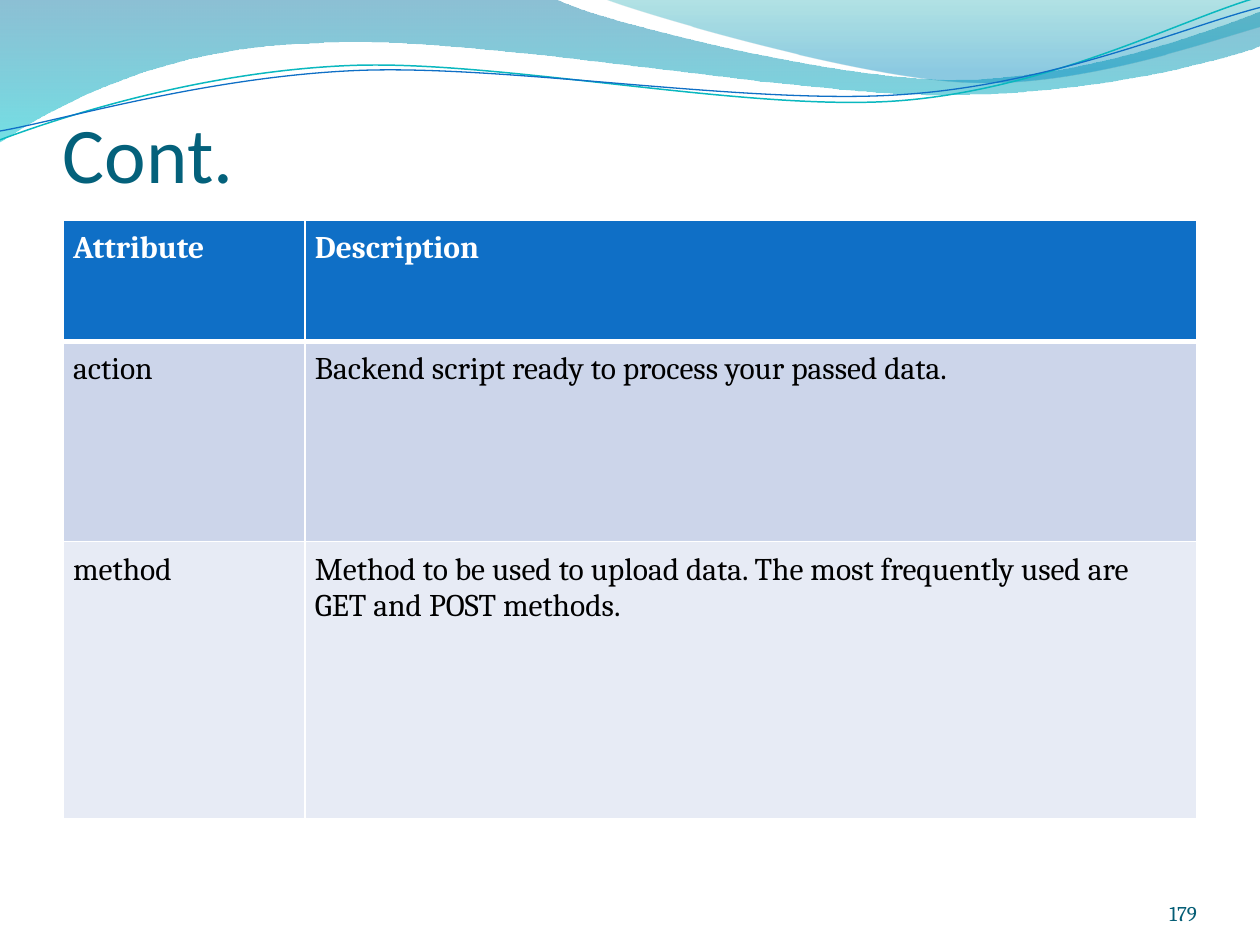
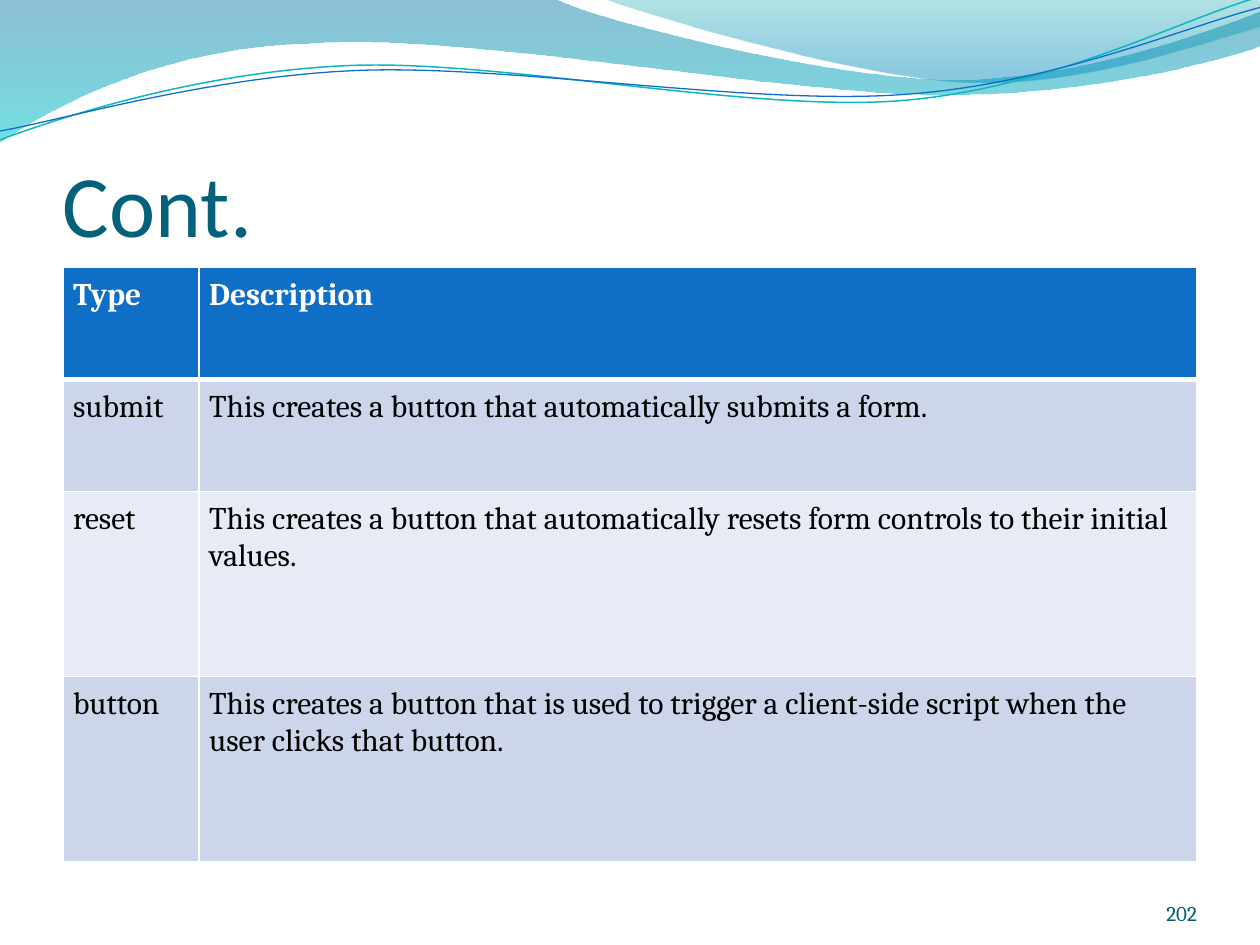
"""Build two slides with a wave header, a title, a table and a page number."""
from dataclasses import dataclass
from math import cos, radians, sin

from lxml import etree
from pptx import Presentation
from pptx.dml.color import RGBColor
from pptx.enum.text import MSO_ANCHOR, PP_ALIGN
from pptx.oxml.ns import qn
from pptx.util import Pt

PX = 9144
LEFT, WIDTH = 50, 900
TILT = 2.7
TOP, BOTTOM = MSO_ANCHOR.TOP, MSO_ANCHOR.BOTTOM
START, END = PP_ALIGN.LEFT, PP_ALIGN.RIGHT
HEAD_FONT, BODY_FONT = "Calibri", "Cambria"

WHITE = RGBColor(0xFF, 0xFF, 0xFF)
BLACK = RGBColor(0x00, 0x00, 0x00)
BLUE = RGBColor(0x0F, 0x6F, 0xC6)
AQUA = RGBColor(0x0A, 0xB8, 0xBF)
TITLE = RGBColor(0x04, 0x61, 0x7B)
NUMBER = RGBColor(0x04, 0x5D, 0x75)
ODD = RGBColor(0xCC, 0xD5, 0xEA)
EVEN = RGBColor(0xE7, 0xEB, 0xF5)
DEEP = RGBColor(0x00, 0x74, 0xA1)
CYAN = RGBColor(0x00, 0xC6, 0xCF)
TEAL = RGBColor(0x00, 0xA1, 0xA9)
SKY = RGBColor(0x00, 0x8B, 0xBF)


@dataclass(frozen=True)
class Stop:
    """A gradient stop: place and opacity in percent."""
    place: int
    color: RGBColor
    alpha: int


@dataclass(frozen=True)
class Band:
    """A closed outline whose steps hold one point (line) or three (curve)."""
    start: tuple[int, int]
    steps: tuple[tuple[int, ...], ...]
    stops: tuple[Stop, Stop]


@dataclass(frozen=True)
class Wave:
    """An open curve, tilted about its pivot."""
    start: tuple[int, int]
    steps: tuple[tuple[int, ...], ...]
    pivot: tuple[int, int]
    color: RGBColor
    weight: float


@dataclass(frozen=True)
class Page:
    """The content of one slide."""
    number: str
    title_high: int
    title_size: int
    top: int
    cols: tuple[int, ...]
    highs: tuple[int, ...]
    rows: tuple[tuple[str, str], ...]


BANDS = (
    Band((0, 0), (
        (440, -1), (476, 17, 664, 63, 758, 63), (853, 63, 958, 26, 1000, 9),
        (1001, 36), (983, 44, 870, 76, 746, 75), (622, 75, 382, 28, 257, 34),
        (129, 36, 46, 83, -1, 113), (0, 0)),
        (Stop(0, DEEP, 45), Stop(100, CYAN, 55))),
    Band((479, -1), (
        (509, 11, 682, 62, 769, 65), (856, 69, 961, 32, 1000, 21), (1000, 0),
        (479, -1)),
        (Stop(0, TEAL, 30), Stop(80, SKY, 45))),
)

WAVES = (
    Wave((0, 111), (
        (48, 93, 158, 57, 277, 52), (395, 47, 593, 89, 713, 80),
        (833, 71, 938, 15, 998, -2)), (499, 58), AQUA, 0.85),
    Wave((0, 104), (
        (47, 96, 164, 61, 283, 56), (403, 51, 597, 84, 717, 75),
        (836, 67, 941, 21, 1000, 6)), (500, 59), BLUE, 0.75),
)

PAGES = (
    Page("179", 81, 45, 175, (192, 708), (96, 159, 220), (
        ("Attribute", "Description"),
        ("action", "Backend script ready to process your passed data."),
        ("method", "Method to be used to upload data. The most frequently used "
                   "are GET and POST methods."))),
    Page("202", 125, 50, 212, (108, 792), (89, 89, 147, 147), (
        ("Type", "Description"),
        ("submit", "This creates a button that automatically submits a form."),
        ("reset", "This creates a button that automatically resets form "
                  "controls to their initial values."),
        ("button", "This creates a button that is used to trigger a "
                   "client-side script when the user clicks that button."))),
)


def write(frame, text: str, *, size: int, color: RGBColor, font: str = BODY_FONT,
          bold: bool = False, align=START) -> None:
    """Put formatted text into a text frame."""
    para = frame.paragraphs[0]
    para.alignment = align
    run = para.add_run()
    run.text = text
    run.font.name = font
    run.font.size = Pt(size)
    run.font.bold = bold
    run.font.color.rgb = color


def label(slide, box: tuple[int, ...], text: str, inset: int = 0, **form) -> None:
    """Add a text box whose text sits at its foot."""
    frame = slide.shapes.add_textbox(*(n * PX for n in box)).text_frame
    frame.word_wrap = True
    frame.vertical_anchor = BOTTOM
    frame.margin_left = frame.margin_right = frame.margin_bottom = 0
    frame.margin_top = inset * PX
    write(frame, text, **form)


def turn(point: tuple[int, int], pivot: tuple[int, int]) -> tuple[float, float]:
    """Rotate a point by the tilt about a pivot."""
    x, y = point[0] - pivot[0], point[1] - pivot[1]
    c, s = cos(radians(TILT)), sin(radians(TILT))
    return pivot[0] + x * c - y * s, pivot[1] + x * s + y * c


def trace(slide, form: Band | Wave, closed: bool):
    """Build an outline with true curves."""
    points = [form.start]
    for step in form.steps:
        points += zip(step[::2], step[1::2])
    if not closed:
        points = [turn(point, form.pivot) for point in points]
    first, *rest = [(x * PX, y * PX) for x, y in points]
    pen = slide.shapes.build_freeform(*first)
    pen.add_line_segments(rest, close=closed)
    shape = pen.convert_to_shape()
    shape.shadow.inherit = False
    lines = iter(list(shape._element.iter(qn("a:lnTo"))))
    for step in form.steps:
        line = next(lines)
        if len(step) == 6:
            line.tag = qn("a:cubicBezTo")
            for _ in range(2):
                extra = next(lines)
                line.append(extra[0])
                extra.getparent().remove(extra)
    return shape


def fill_band(slide, band: Band) -> None:
    """Draw a band with a see-through gradient."""
    shape = trace(slide, band, True)
    shape.line.fill.background()
    shape.fill.gradient()
    shape.fill.gradient_angle = 270
    for stop, mark in zip(band.stops, shape.fill.gradient_stops):
        mark.position = stop.place / 100
        mark.color.rgb = stop.color
    tones = list(shape._element.spPr.iter(qn("a:srgbClr")))
    for stop, tone in zip(band.stops, tones):
        etree.SubElement(tone, qn("a:alpha"), val=str(stop.alpha * 1000))


def draw_wave(slide, wave: Wave) -> None:
    """Draw a tilted line."""
    shape = trace(slide, wave, False)
    shape.rotation = 360 - TILT
    shape.fill.background()
    shape.line.color.rgb = wave.color
    shape.line.width = Pt(wave.weight)


def edge(cell) -> None:
    """Give a header cell white borders, thick at the foot."""
    props = cell._tc.get_or_add_tcPr()
    for i, side in enumerate("LRTB"):
        wide = Pt(3 if side == "B" else 1)
        line = etree.Element(qn(f"a:ln{side}"), w=str(wide))
        fill = etree.SubElement(line, qn("a:solidFill"))
        etree.SubElement(fill, qn("a:srgbClr"), val=str(WHITE))
        props.insert(i, line)


def grid(slide, page: Page) -> None:
    """Add the table of a page."""
    table = slide.shapes.add_table(
        len(page.rows), len(page.cols), LEFT * PX, page.top * PX,
        WIDTH * PX, sum(page.highs) * PX).table
    for col, wide in zip(table.columns, page.cols):
        col.width = wide * PX
    for r, (texts, high) in enumerate(zip(page.rows, page.highs)):
        table.rows[r].height = high * PX
        head = r == 0
        for c, text in enumerate(texts):
            cell = table.cell(r, c)
            cell.margin_left = cell.margin_right = 8 * PX
            cell.margin_top = cell.margin_bottom = 8 * PX
            cell.vertical_anchor = TOP
            cell.fill.solid()
            cell.fill.fore_color.rgb = BLUE if head else ODD if r % 2 else EVEN
            if head:
                edge(cell)
            write(cell.text_frame, text, size=18, bold=head,
                  color=WHITE if head else BLACK)


def main() -> None:
    """Build and save the deck."""
    deck = Presentation()
    deck.slide_width, deck.slide_height = 1000 * PX, 750 * PX
    for page in PAGES:
        slide = deck.slides.add_slide(deck.slide_layouts[6])
        for band in BANDS:
            fill_band(slide, band)
        for wave in WAVES:
            draw_wave(slide, wave)
        label(slide, (LEFT, 77, WIDTH, page.title_high), "Cont.", inset=5,
              size=page.title_size, color=TITLE, font=HEAD_FONT)
        grid(slide, page)
        label(slide, (867, 695, 83, 40), page.number, size=12, color=NUMBER,
              align=END)
    deck.save("out.pptx")


if __name__ == "__main__":
    main()
